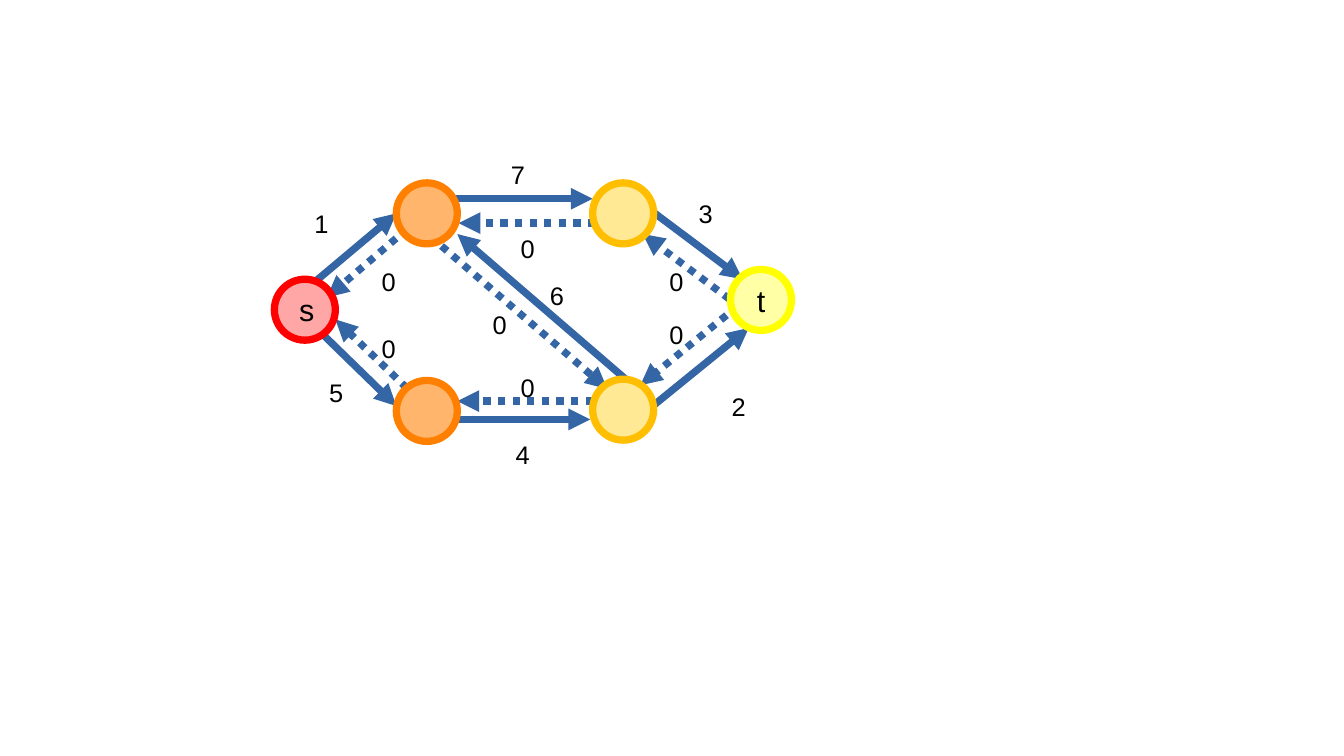
"""Draw a residual flow network with forward and backward edges."""
from lxml import etree
from pptx import Presentation, util as u
from pptx.dml.color import RGBColor
from pptx.enum import dml, shapes, text
from pptx.oxml.ns import qn

SLIDE_SIZE = (11.02, 6.2)
NODE_SIZE = 0.5
LABEL_SIZE = (0.31, 0.33)
LINE_WIDTH = 4.31
EDGE_COLOR = "3465A4"
TEXT_COLOR = "000000"

# left, top, fill, outline, name
NODES = [
    (2.25, 2.29, "FFA6A6", "FF0000", "s"),
    (3.25, 1.5, "FFB66C", "FF8000", ""),
    (4.86, 1.5, "FFE994", "FFBF00", ""),
    (3.25, 3.12, "FFB66C", "FF8000", ""),
    (4.86, 3.11, "FFE994", "FFBF00", ""),
    (5.99, 2.21, "FFFFA6", "FFFF00", "t"),
]
# start, end, label corner, label
FORWARD_EDGES = [
    ((5.2, 3.17), (3.75, 1.92), (4.41, 2.25), "6"),
    ((5.34, 3.34), (6.14, 2.69), (5.9, 3.16), "2"),
    ((5.09, 1.54), (6.09, 2.29), (5.63, 1.58), "3"),
    ((3.49, 3.44), (4.84, 3.44), (4.13, 3.55), "4"),
    ((3.5, 1.63), (4.86, 1.63), (4.09, 1.26), "7"),
    ((2.49, 2.59), (3.25, 3.33), (2.6, 3.04), "5"),
    ((2.5, 2.38), (3.25, 1.75), (2.48, 1.66), "1"),
]
BACKWARD_EDGES = [
    ((6.05, 2.51), (5.25, 3.16), (5.39, 2.57), "0"),
    ((3.53, 1.94), (4.98, 3.19), (3.94, 2.49), "0"),
    ((3.51, 3.35), (2.75, 2.62), (3.03, 2.68), "0"),
    ((5.1, 3.29), (3.75, 3.29), (4.17, 3), "0"),
    ((6.27, 2.67), (5.27, 1.92), (5.39, 2.13), "0"),
    ((5.12, 1.83), (3.76, 1.83), (4.17, 1.86), "0"),
    ((3.43, 1.8), (2.68, 2.44), (3.03, 2.13), "0"),
]
NODE_FRAME = {
    "vertical_anchor": text.MSO_ANCHOR.MIDDLE,
    "margin_left": u.Inches(0.13), "margin_right": u.Inches(0.13),
    "margin_top": u.Inches(0.08), "margin_bottom": u.Inches(0.08),
}
LABEL_FRAME = {"word_wrap": False, "auto_size": text.MSO_AUTO_SIZE.SHAPE_TO_FIT_TEXT}


def inches(*lengths):
    """Turn lengths in inches into slide units."""
    return [u.Inches(length) for length in lengths]


def paint(fill, color):
    """Make a fill solid in the given hex colour."""
    fill.solid()
    fill.fore_color.rgb = RGBColor.from_string(color)


def write(shape, words, size, alignment, frame_format):
    """Write one formatted paragraph into a shape."""
    frame = shape.text_frame
    for name, value in frame_format.items():
        setattr(frame, name, value)
    paragraph = frame.paragraphs[0]
    paragraph.alignment = alignment
    run = paragraph.add_run()
    run.text = words
    for name, value in {"name": "Arial", "size": u.Pt(size)}.items():
        setattr(run.font, name, value)
    paint(run.font.fill, TEXT_COLOR)


def draw_edge(slide, start, end, dash):
    """Draw an arrow, dashed when a dash style is given."""
    edge = slide.shapes.add_connector(
        shapes.MSO_CONNECTOR.STRAIGHT, *inches(*start, *end))
    paint(edge.line.fill, EDGE_COLOR)
    edge.line.width = u.Pt(LINE_WIDTH)
    edge.line.dash_style = dash
    properties = edge.element.spPr
    etree.SubElement(properties.find(qn("a:ln")), qn("a:tailEnd"), type="triangle")
    etree.SubElement(properties, qn("a:effectLst"))


def draw_node(slide, left, top, fill, outline, name):
    """Draw a round node with its name, if it has one."""
    node = slide.shapes.add_shape(
        shapes.MSO_SHAPE.OVAL, *inches(left, top, NODE_SIZE, NODE_SIZE))
    node.shadow.inherit = False
    paint(node.fill, fill)
    paint(node.line.fill, outline)
    node.line.width = u.Pt(LINE_WIDTH)
    if name:
        write(node, name, 18, text.PP_ALIGN.CENTER, NODE_FRAME)


def main():
    """Build the slide and save it."""
    presentation = Presentation()
    presentation.slide_width, presentation.slide_height = inches(*SLIDE_SIZE)
    slide = presentation.slides.add_slide(presentation.slide_layouts[6])
    for edges, dash in ((BACKWARD_EDGES, dml.MSO_LINE.ROUND_DOT), (FORWARD_EDGES, None)):
        for start, end, *_ in edges:
            draw_edge(slide, start, end, dash)
    for node in NODES:
        draw_node(slide, *node)
    for *_, corner, label in FORWARD_EDGES + BACKWARD_EDGES:
        box = slide.shapes.add_textbox(*inches(*corner, *LABEL_SIZE))
        write(box, label, 15, text.PP_ALIGN.LEFT, LABEL_FRAME)
    presentation.save("out.pptx")


if __name__ == "__main__":
    main()
